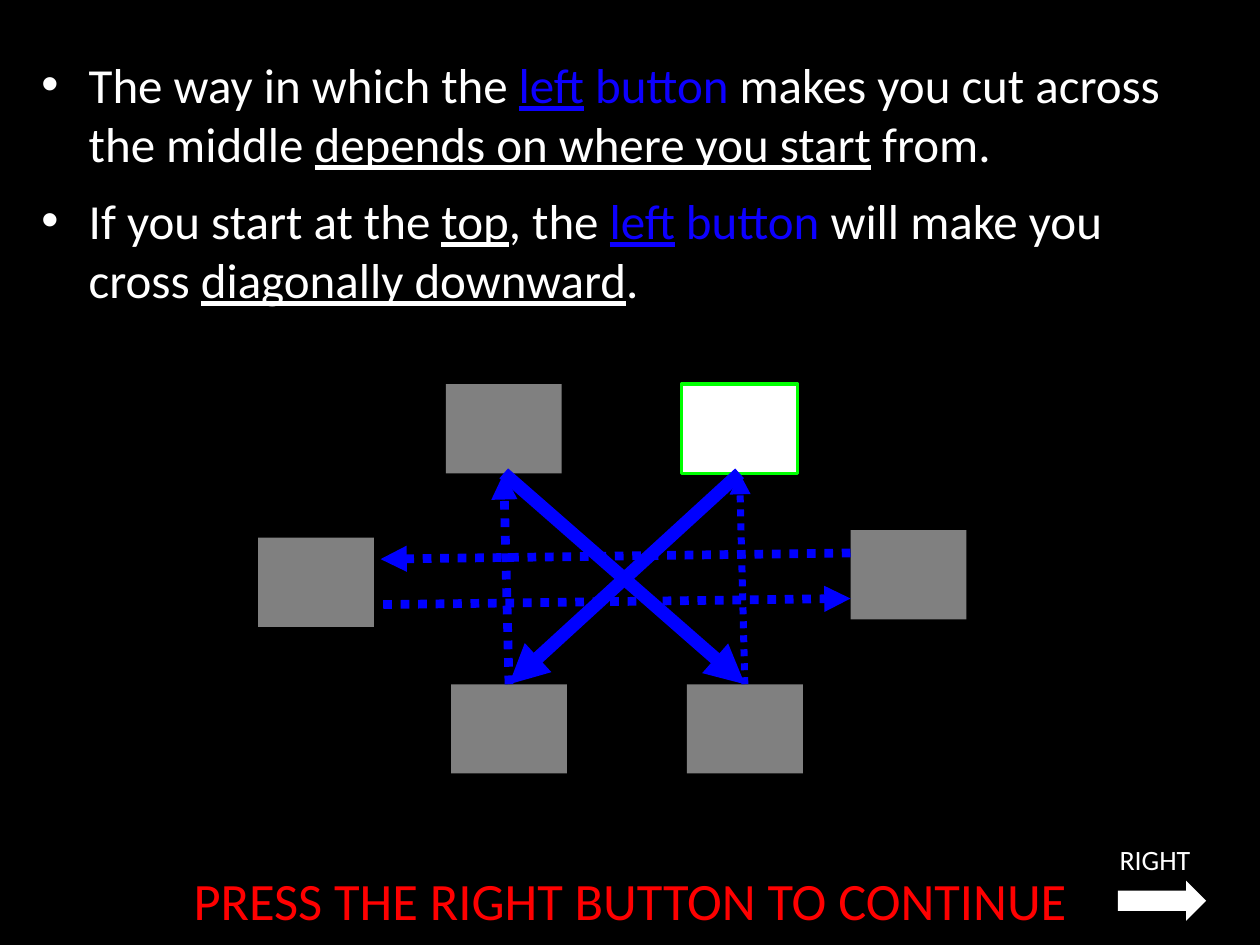
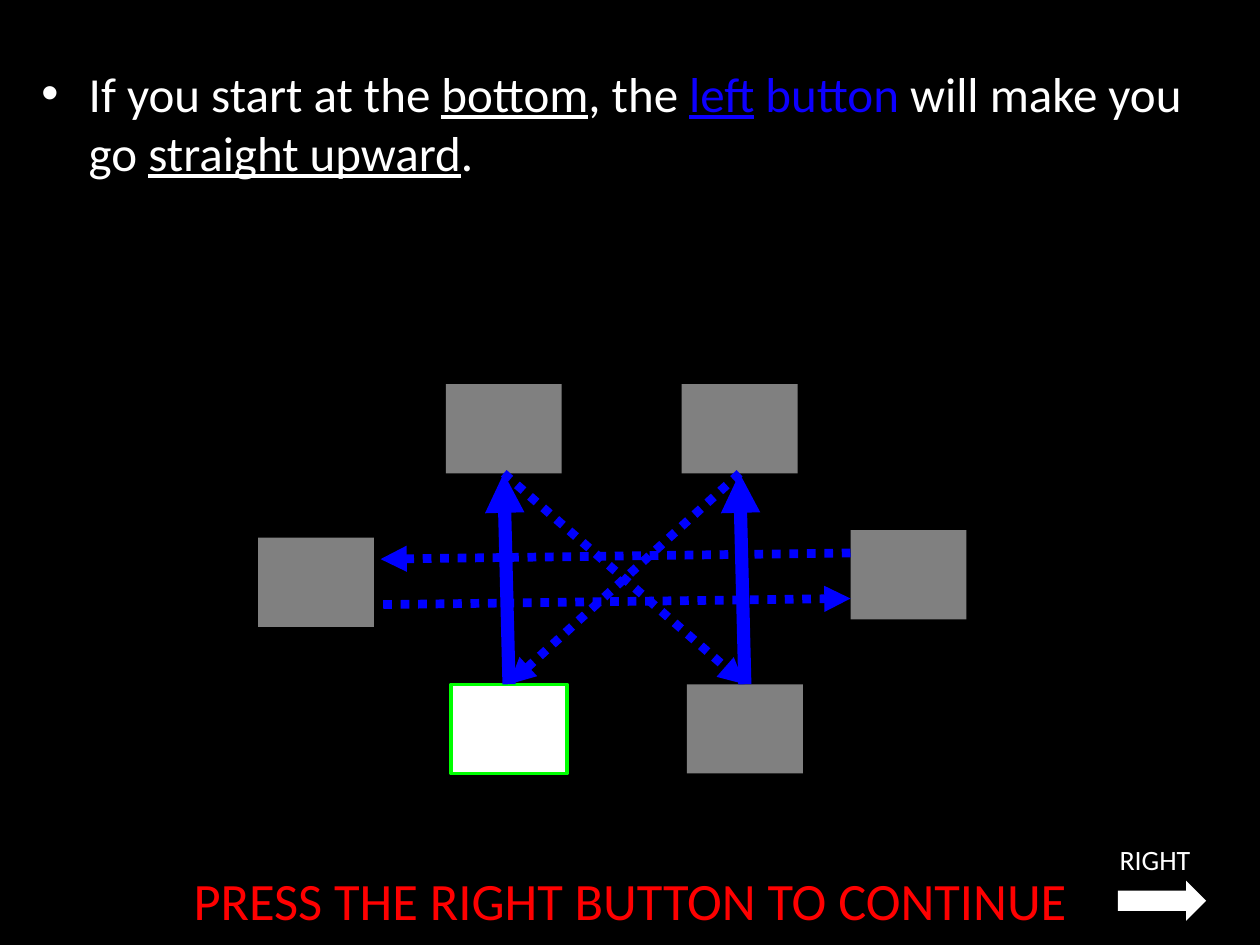
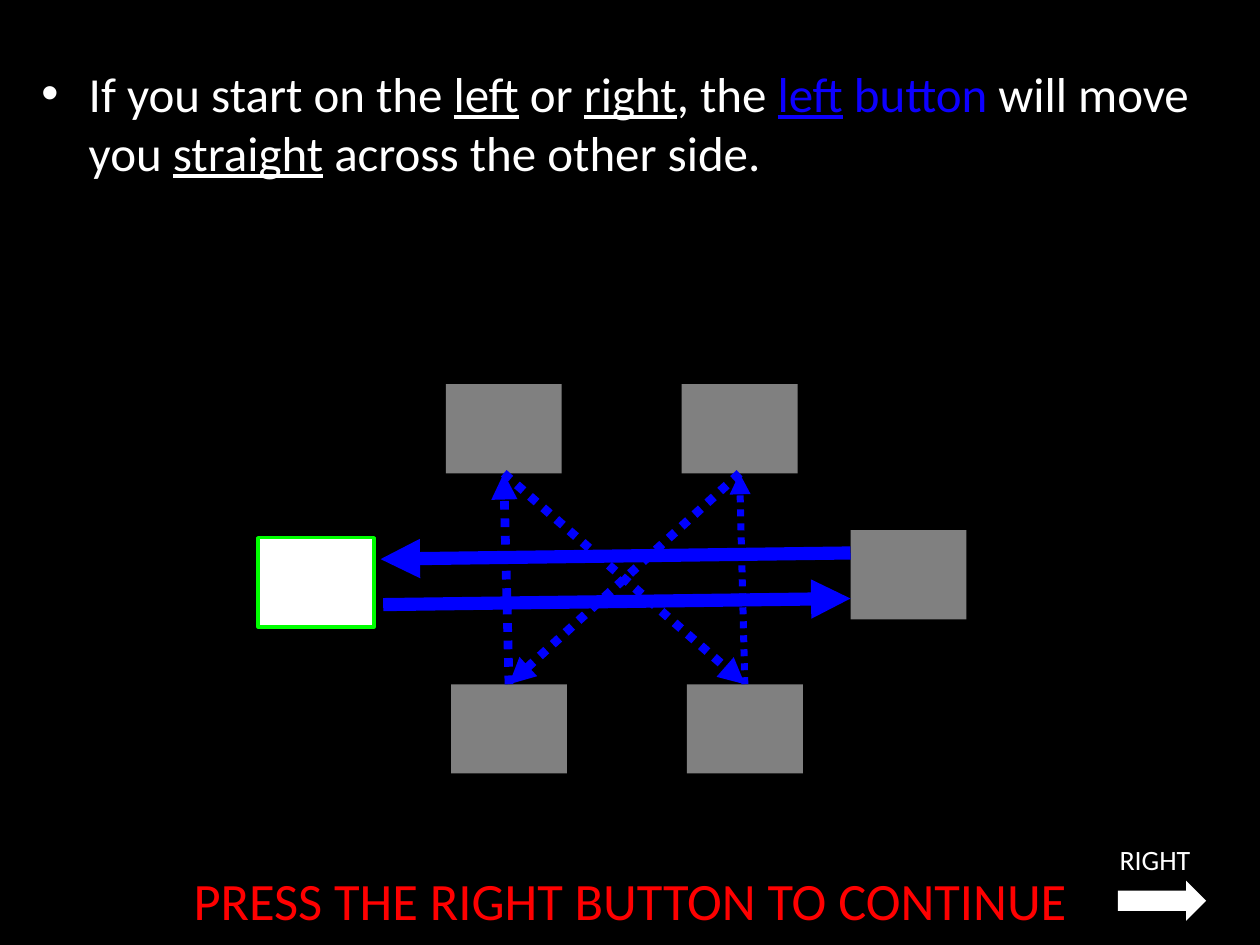
import pptx
import pptx.dml.color
import pptx.enum.dml
import pptx.enum.shapes
import pptx.enum.text
import pptx.oxml.ns
import pptx.util
from lxml import etree

Pt = pptx.util.Pt
FONT = "Calibri"
COLORS = {
    "background": "000000",
    "text": "FFFFFF",
    "button": "0D00FF",
    "prompt": "FF0000",
    "box": "808080",
    "active": "FFFFFF",
    "outline": "00FF00",
    "route": "0000FF",
}

# Diagram: six boxes, in points
BOX_W, BOX_H = 66.25, 51
BOXES = {
    "top left": (254.75, 219.5),
    "top right": (389.5, 219.5),
    "right": (486, 303),
    "left": (147.5, 307.25),
    "bottom left": (257.75, 391),
    "bottom right": (392.5, 391),
}
TOP, BOTTOM = 0, 2
SOLID_WIDTH = 7.5

# Routes between boxes: kind, start, end, dotted width.
# An end is a (box, side) pair to join, or an (x, y) point.
ROUTES = [
    ("upward", ("bottom left", TOP), ("top left", BOTTOM), 5),
    ("diagonal", ("top right", BOTTOM), ("bottom left", TOP), 5),
    ("upward", ("bottom right", TOP), ("top right", BOTTOM), 4),
    ("across", (486, 316), (217.5, 319.5), 5),
    ("across", (219, 345.5), (486, 342), 5),
    ("diagonal", ("top left", BOTTOM), ("bottom right", TOP), 5),
]

# Instructions: a run is (text, color, underlined)
LEFT_BUTTON = [("left", "button", True), (" button", "button", False)]


def plain(text):
    return (text, "text", False)


def stressed(text):
    return (text, "text", True)


SLIDES = [
    {
        "top": 27.5, "height": 224, "active": "top right", "solid": "diagonal",
        "bullets": [
            [plain("The way in which the "), *LEFT_BUTTON,
             plain(" makes you cut across the middle "),
             stressed("depends on where you start"), plain(" from.")],
            [plain("If you start at the "), stressed("top"), plain(", the "),
             *LEFT_BUTTON, plain(" will make you cross "),
             stressed("diagonally downward"), plain(".")],
        ],
    },
    {
        "top": 32.5, "height": 182, "active": "bottom left", "solid": "upward",
        "bullets": [
            [plain("If you start at the "), stressed("bottom"), plain(", the "),
             *LEFT_BUTTON, plain(" will make you go "),
             stressed("straight upward"), plain(".")],
        ],
    },
    {
        "top": 32.5, "height": 224, "active": "left", "solid": "across",
        "bullets": [
            [plain("If you start on the "), stressed("left"), plain(" or "),
             stressed("right"), plain(", the "), *LEFT_BUTTON,
             plain(" will move you "), stressed("straight"),
             plain(" across the other side.")],
        ],
    },
]


def rgb(name):
    return pptx.dml.color.RGBColor.from_string(COLORS[name])


def add_run(paragraph, text, size, color, underlined=False):
    run = paragraph.add_run()
    run.text = text
    run.font.name = FONT
    run.font.size = Pt(size)
    run.font.color.rgb = rgb(color)
    if underlined:
        run.font.underline = True


def fill_instructions(slide, content):
    body = slide.placeholders[1]
    body.left, body.top = Pt(16.5), Pt(content["top"])
    body.width, body.height = Pt(687.5), Pt(content["height"])
    frame = body.text_frame
    frame.auto_size = pptx.enum.text.MSO_AUTO_SIZE.NONE
    frame.margin_right = Pt(18)
    for index, runs in enumerate(content["bullets"]):
        paragraph = frame.add_paragraph() if index else frame.paragraphs[0]
        paragraph.space_before = Pt(4.5 if index else 0)
        paragraph.space_after = Pt(6)
        for text, color, underlined in runs:
            add_run(paragraph, text, 28, color, underlined)


def add_label(slide, text, bounds, size, color, anchor):
    label = slide.shapes.add_textbox(*map(Pt, bounds))
    frame = label.text_frame
    frame.word_wrap = True
    frame.vertical_anchor = anchor
    paragraph = frame.paragraphs[0]
    paragraph.alignment = pptx.enum.text.PP_ALIGN.CENTER
    add_run(paragraph, text, size, color)


def add_block(slide, preset, bounds, color, outline=None):
    block = slide.shapes.add_shape(preset, *map(Pt, bounds))
    block.shadow.inherit = False
    block.fill.solid()
    block.fill.fore_color.rgb = rgb(color)
    if outline:
        block.line.color.rgb = rgb(outline)
        block.line.width = Pt(2)
    else:
        block.line.fill.background()
    return block


def add_footer(slide):
    anchors = pptx.enum.text.MSO_ANCHOR
    add_label(slide, "PRESS THE RIGHT BUTTON TO CONTINUE",
              (0, 488, 720.5, 52), 30, "prompt", anchors.MIDDLE)
    add_label(slide, "RIGHT", (599.5, 478, 121, 63), 16, "text", anchors.TOP)
    add_block(slide, pptx.enum.shapes.MSO_SHAPE.RIGHT_ARROW,
              (638.75, 503.25, 50.5, 23), "text")


def add_route(slide, boxes, start, end, width, dotted):
    joined = start[0] in boxes
    points = (0, 0, 0, 0) if joined else (*start, *end)
    route = slide.shapes.add_connector(
        pptx.enum.shapes.MSO_CONNECTOR.STRAIGHT, *map(Pt, points))
    if joined:
        route.begin_connect(boxes[start[0]], start[1])
        route.end_connect(boxes[end[0]], end[1])
    route.line.color.rgb = rgb("route")
    route.line.width = Pt(width)
    if dotted:
        route.line.dash_style = pptx.enum.dml.MSO_LINE.ROUND_DOT
    # Arrowhead, and no shadow
    properties = route._element.spPr
    qn = pptx.oxml.ns.qn
    etree.SubElement(properties.find(qn("a:ln")), qn("a:tailEnd"), type="triangle")
    etree.SubElement(properties, qn("a:effectLst"))


def add_diagram(slide, active, solid):
    boxes = {}
    for place, (left, top) in BOXES.items():
        color, outline = ("active", "outline") if place == active else ("box", None)
        boxes[place] = add_block(slide, pptx.enum.shapes.MSO_SHAPE.RECTANGLE,
                                 (left, top, BOX_W, BOX_H), color, outline)
    for kind, start, end, dotted_width in ROUTES:
        dotted = kind != solid
        width = dotted_width if dotted else SOLID_WIDTH
        add_route(slide, boxes, start, end, width, dotted)


def main():
    deck = pptx.Presentation()
    deck.slide_width, deck.slide_height = Pt(720), Pt(540)
    background = deck.slide_master.background.fill
    background.solid()
    background.fore_color.rgb = rgb("background")
    for content in SLIDES:
        slide = deck.slides.add_slide(deck.slide_layouts[1])
        # These slides have no title
        title = slide.shapes.title._element
        title.getparent().remove(title)
        fill_instructions(slide, content)
        add_footer(slide)
        add_diagram(slide, content["active"], content["solid"])
    deck.save("out.pptx")


if __name__ == "__main__":
    main()
